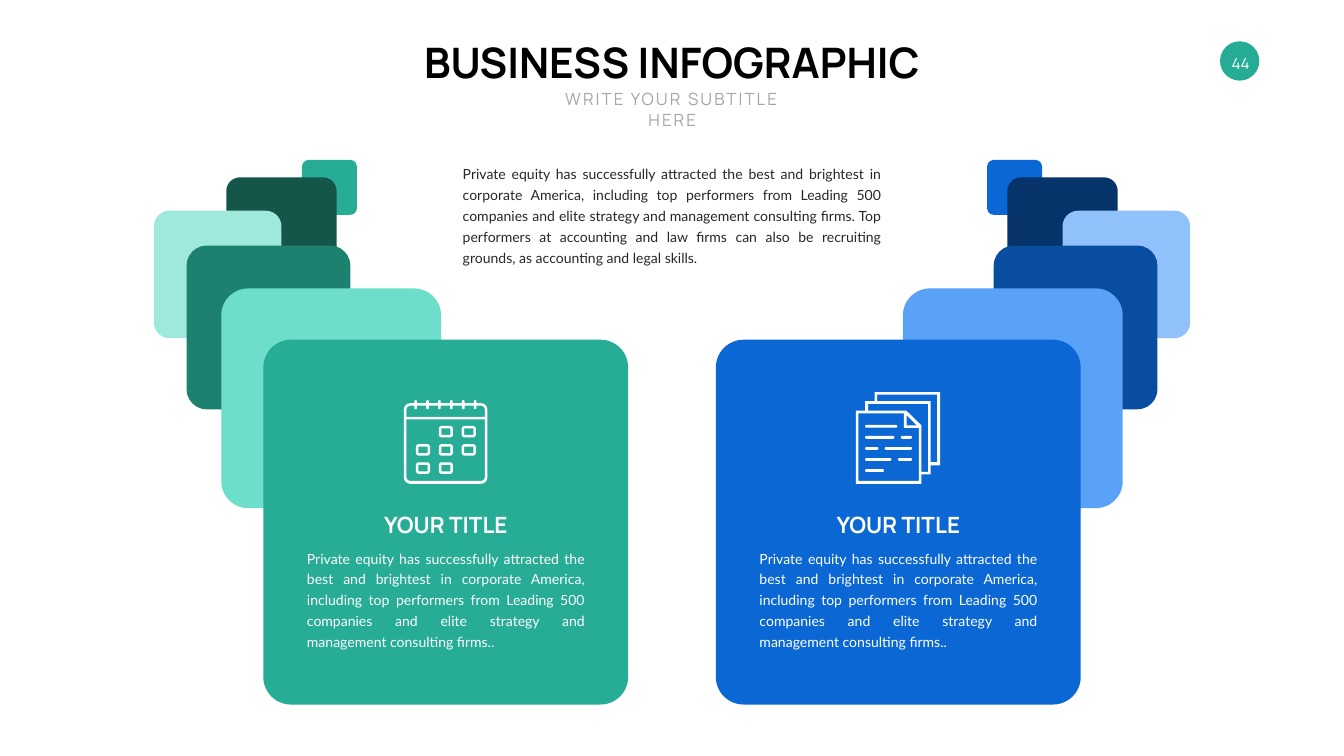
import math
import pptx
import pptx.util
import pptx.dml.color
import pptx.enum.shapes
import pptx.enum.text

Pt = pptx.util.Pt
SHAPE = pptx.enum.shapes.MSO_SHAPE
ALIGN = pptx.enum.text.PP_ALIGN
ANCHOR = pptx.enum.text.MSO_ANCHOR

SLIDE_W, SLIDE_H = 1919.52, 1080

THEME = {
    "heading": "Manrope", "body": "Lato",
    "black": "000000", "grey": "A6A6A6", "ink": "272727", "white": "FFFFFF",
    "badge": "26AC95",
    "green": ["27AC95", "14564A", "9EE9DC", "1D8170", "6DDECA", "27AC95"],
    "blue": ["0A67D4", "05336A", "91C1FA", "084D9F", "5AA2F7", "0A67D4"],
    "title_size": 60, "subtitle_size": 24, "card_size": 32,
    "body_size": 20, "badge_size": 22,
}

TITLE = "BUSINESS INFOGRAPHIC"
SUBTITLE = "WRITE YOUR SUBTITLE HERE"
PAGE = "44"
INTRO = ("Private equity has successfully attracted the best and brightest in corporate "
         "America, including top performers from Leading 500 companies and elite strategy "
         "and management consulting firms. Top performers at accounting and law firms can "
         "also be recruiting grounds, as accounting and legal skills.")
CARD_TITLE = "YOUR TITLE"
CARD_TEXT = ("Private equity has successfully attracted the best and brightest in corporate "
             "America, including top performers from Leading 500 companies and elite strategy "
             "and management consulting firms..")

# left, top, side, corner ratio
CASCADE = [
    (431.2, 228.4, 78.6, 0.123),
    (323.2, 253.4, 157.6, 0.123),
    (219.8, 301, 182.2, 0.123),
    (266.4, 350.8, 234, 0.123),
    (316, 412, 314, 0.123),
    (376, 485.3, 521.2, 0.076),
]

DAYS = [(1, 0), (2, 0), (0, 1), (1, 1), (2, 1), (0, 2), (1, 2)]
PAGE_EDGES = [
    [(26.5, 0), (120, 0), (120, 104.5), (106.5, 104.5), (106.5, 117.5), (93.5, 117.5),
     (93.5, 131), (0, 131), (0, 26.5), (13, 26.5), (13, 13), (26.5, 13)],
    [(3.6, 30.2), (68.4, 30.2), (68.4, 51), (90, 51), (90, 126.7), (3.6, 126.7)],
    [(72.5, 33), (72.5, 47.5), (87, 47.5)],
    [(17.3, 16.6), (103, 16.6), (103, 113.8), (93.5, 113.8), (93.5, 47.5), (72, 26.5),
     (17.3, 26.5)],
    [(30.2, 3.6), (116, 3.6), (116, 100), (106.5, 100), (106.5, 13), (30.2, 13)],
]
PAGE_LINES = [
    [(13, 59)],
    [(13, 55), (64, 80)],
    [(13, 32), (41, 80)],
    [(13, 50.5), (60, 80)],
    [(13, 40)],
]

prs = pptx.Presentation()
prs.slide_width, prs.slide_height = Pt(SLIDE_W), Pt(SLIDE_H)
slide = prs.slides.add_slide(prs.slide_layouts[6])


def rgb(code):
    return pptx.dml.color.RGBColor.from_string(code)


def paint(shape, color):
    shape.shadow.inherit = False
    shape.fill.solid()
    shape.fill.fore_color.rgb = rgb(color)
    shape.line.fill.background()


def block(kind, left, top, side, color, ratio=None):
    shape = slide.shapes.add_shape(kind, Pt(left), Pt(top), Pt(side), Pt(side))
    if ratio:
        shape.adjustments[0] = ratio
    paint(shape, color)


def write(text, box, font="heading", size="body_size", color="white", bold=False,
          align=ALIGN.CENTER, anchor=ANCHOR.TOP, wrap=True, leading=None, before=None,
          tracking=None, inset=None):
    frame = slide.shapes.add_textbox(*map(Pt, box)).text_frame
    frame.word_wrap = wrap
    frame.vertical_anchor = anchor
    if inset is not None:
        frame.margin_left = frame.margin_right = Pt(inset)
        frame.margin_top = frame.margin_bottom = Pt(inset)
    paragraph = frame.paragraphs[0]
    paragraph.alignment = align
    if leading:
        paragraph.line_spacing = Pt(leading)
    if before:
        paragraph.space_before = Pt(before)
    run = paragraph.add_run()
    run.text = text
    run.font.name = THEME[font]
    run.font.size = Pt(THEME[size])
    run.font.bold = bold
    run.font.color.rgb = rgb(THEME[color])
    if tracking:
        run.font._element.set("spc", str(tracking * 100))


def write_body(text, box, color):
    write(text, box, font="body", color=color, align=ALIGN.JUSTIFY, leading=30, before=12)


def rounded(left, top, width, height, upper, lower):
    corners = [(left + width, top, -1, 1, upper), (left + width, top + height, -1, -1, lower),
               (left, top + height, 1, -1, lower), (left, top, 1, 1, upper)]
    points = []
    for quarter, (x, y, dx, dy, radius) in enumerate(corners):
        for step in range(5 if radius else 1):
            angle = math.radians(90 * (quarter - 1) + 22.5 * step)
            points.append((x + radius * (dx + math.cos(angle)),
                           y + radius * (dy + math.sin(angle))) if radius else (x, y))
    return points


def calendar_outlines():
    outlines = [rounded(0, 4.3, 119.5, 115.2, 9.4, 9.4),
                rounded(3.7, 7.9, 112.1, 15.9, 5.7, 0),
                rounded(3.7, 27.4, 112.1, 88, 0, 5.7)]
    for ring in range(6):
        left = 15.1 + 17 * ring
        outlines += [rounded(left, 0, 3.7, 4.3, 1.8, 0), rounded(left, 7.9, 3.7, 5.1, 0, 1.8)]
    for column, row in DAYS:
        left, top = 17.3 + 32.7 * column, 36.7 + 26 * row
        outlines += [rounded(left, top, 20.2, 16.6, 4.3, 4.3),
                     rounded(left + 3.6, top + 3.6, 13, 9.4, 0.7, 0.7)]
    return outlines


def document_outlines():
    bars = [rounded(start, 46.8 + 15.8 * row, end - start, 4, 2, 2)
            for row, spans in enumerate(PAGE_LINES) for start, end in spans]
    return PAGE_EDGES + bars


def draw_icon(outlines, left, top):
    placed = [[(Pt(left + x), Pt(top + y)) for x, y in outline] for outline in outlines]
    builder = slide.shapes.build_freeform(*placed[0][0], scale=1.0)
    for number, outline in enumerate(placed):
        if number:
            builder.move_to(*outline[0])
        builder.add_line_segments(outline[1:], close=True)
    paint(builder.convert_to_shape(), THEME["white"])


block(SHAPE.OVAL, 1742.4, 59, 56.2, THEME["badge"])
write(PAGE, (1743.8, 61.9, 56.2, 56.2), size="badge_size", anchor=ANCHOR.MIDDLE, inset=3.6)

for palette, mirrored in (("green", False), ("blue", True)):
    for (left, top, side, ratio), color in zip(CASCADE, THEME[palette]):
        block(SHAPE.ROUNDED_RECTANGLE, SLIDE_W - left - side if mirrored else left,
              top, side, color, ratio)

write(TITLE, (590.4, 48.2, 738.7, 80), size="title_size", color="black", bold=True, wrap=False)
write(SUBTITLE, (764.6, 123.8, 391, 36), size="subtitle_size", color="grey", tracking=3)
write_body(INTRO, (653.8, 226.8, 612, 155.5), "ink")

card_left, card_top, card_side, _ = CASCADE[-1]
for left, outlines, icon_dx, icon_top in (
        (card_left, calendar_outlines(), 200.7, 571.7),
        (SLIDE_W - card_left - card_side, document_outlines(), 200.2, 560.2)):
    draw_icon(outlines, left + icon_dx, icon_top)
    write(CARD_TITLE, (left + 161.2, 725.8, 199.4, 46), size="card_size", bold=True,
          anchor=ANCHOR.BOTTOM, wrap=False)
    write_body(CARD_TEXT, (left + 55.3, 776.2, 411.1, 155.5), "white")

prs.save("out.pptx")
